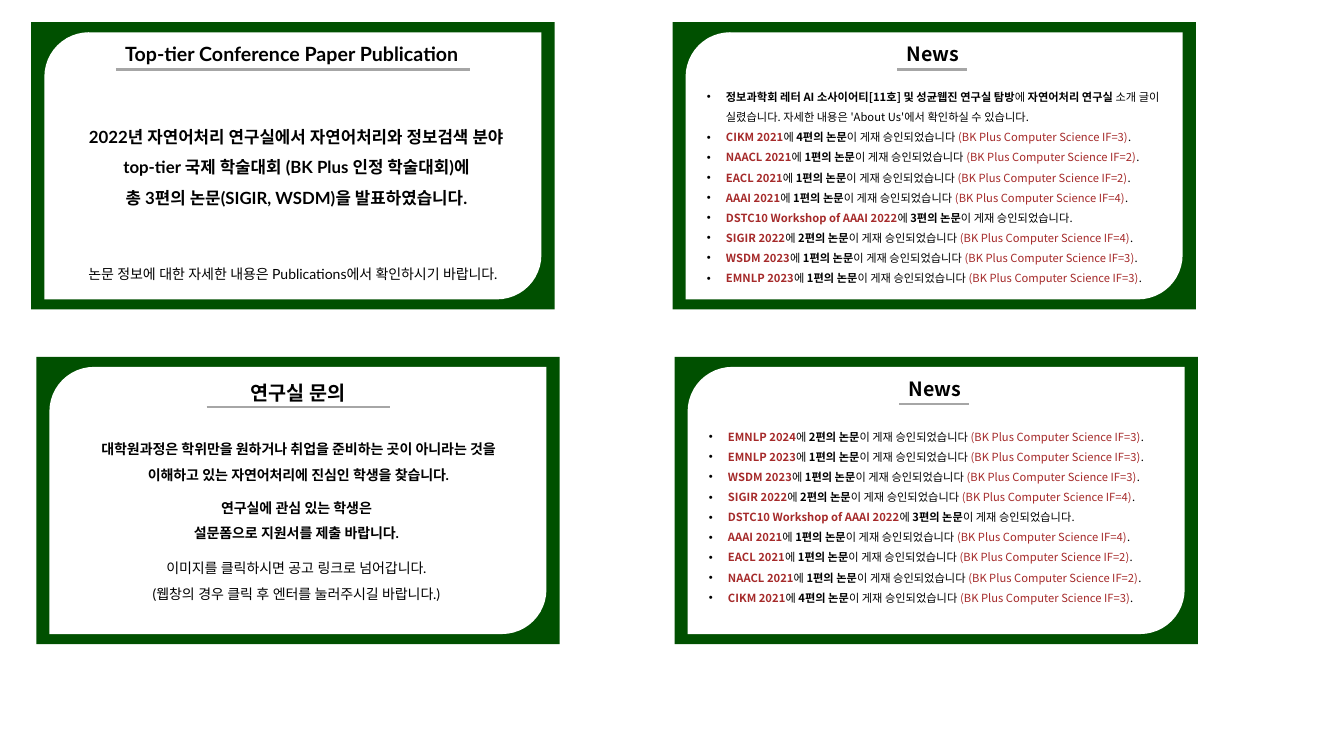
from lxml import etree
from pptx import Presentation
from pptx import util as u
from pptx.dml.color import RGBColor
from pptx.enum import shapes, text
from pptx.oxml.ns import qn

PX = 9144
COLORS = {"green": "005000", "white": "FFFFFF", "black": "000000",
          "gray": "A6A6A6", "red": "A52A2A"}
LATO = "Lato"
NOTO = "Noto Sans CJK KR"
BOLD = {"bold": True}
PLAIN = {"bold": False}
VENUE = {"bold": True, "color": "red"}
IMPACT = {"bold": False, "color": "red"}

PUBLICATIONS = [
    ("CIKM 2021", 4, 3),
    ("NAACL 2021", 1, 2),
    ("EACL 2021", 1, 2),
    ("AAAI 2021", 1, 4),
    ("DSTC10 Workshop of AAAI 2022", 3, None),
    ("SIGIR 2022", 2, 4),
    ("WSDM 2023", 1, 3),
    ("EMNLP 2023", 1, 3),
]
LATEST = ("EMNLP 2024", 2, 3)
ANNOUNCEMENT = [
    ("정보과학회 레터 AI 소사이어티[11호] 및 성균웹진 연구실 탐방", BOLD),
    ("에 ", PLAIN),
    ("자연어처리 연구실 ", BOLD),
    ("소개 글이 실렸습니다. 자세한 내용은 'About Us'에서 확인하실 수 있습니다.", PLAIN),
]


def acceptance(venue, count, impact):
    runs = [(venue, VENUE), ("에 ", PLAIN), (f"{count}편의 논문", BOLD)]
    if impact is None:
        return runs + [("이 게재 승인되었습니다.", PLAIN)]
    return runs + [("이 게재 승인되었습니다 ", PLAIN),
                   (f"(BK Plus Computer Science IF={impact})", IMPACT),
                   (".", PLAIN)]


class Board:
    def __init__(self, presentation):
        self.slide = presentation.slides.add_slide(presentation.slide_layouts[4])

    def color(self, name):
        return RGBColor.from_string(COLORS[name])

    def shape(self, kind, box, fill):
        shape = self.slide.shapes.add_shape(kind, *(value * PX for value in box))
        shape.shadow.inherit = False
        shape.fill.solid()
        shape.fill.fore_color.rgb = self.color(fill)
        shape.line.fill.background()

    def panel(self, left, top):
        self.shape(shapes.MSO_SHAPE.RECTANGLE, (left, top, 519, 285), "green")
        self.shape(shapes.MSO_SHAPE.ROUND_2_DIAG_RECTANGLE,
                   (left + 13, top + 10, 493, 265), "white")

    def rule(self, left, top, width):
        line = self.slide.shapes.add_connector(
            shapes.MSO_CONNECTOR.STRAIGHT,
            *(value * PX for value in (left, top, left + width, top)))
        line.line.color.rgb = self.color("gray")
        line.line.width = u.Pt(1.5)
        etree.SubElement(line.element.spPr, qn("a:effectLst"))

    def bullet(self, paragraph):
        properties = paragraph._p.get_or_add_pPr()
        properties.set("marL", str(19 * PX))
        properties.set("indent", str(-19 * PX))
        tint = etree.SubElement(properties, qn("a:buClr"))
        etree.SubElement(tint, qn("a:srgbClr"), val=COLORS["black"])
        etree.SubElement(properties, qn("a:buFont"), typeface="Arial")
        etree.SubElement(properties, qn("a:buChar"), char="•")

    def run(self, paragraph, words, style):
        run = paragraph.add_run()
        run.text = words
        settings = dict(style)
        run.font.color.rgb = self.color(settings.pop("color", "black"))
        for name, value in settings.items():
            setattr(run.font, name, value)
        etree.SubElement(run._r.get_or_add_rPr(), qn("a:ea"), typeface=style["name"])

    def text(self, box, paragraphs, size, font=LATO, spacing=1.5,
             placeholder=None, bullets=False, gaps=()):
        edges = [value * PX for value in box]
        if placeholder is None:
            shape = self.slide.shapes.add_textbox(*edges)
        else:
            shape = self.slide.placeholders[placeholder]
            shape.left, shape.top, shape.width, shape.height = edges
            shape.element.getparent().append(shape.element)
        frame = shape.text_frame
        for name, value in {"word_wrap": True,
                            "auto_size": text.MSO_AUTO_SIZE.SHAPE_TO_FIT_TEXT,
                            "vertical_anchor": text.MSO_ANCHOR.TOP}.items():
            setattr(frame, name, value)
        for index, runs in enumerate(paragraphs):
            paragraph = frame.paragraphs[0] if index == 0 else frame.add_paragraph()
            paragraph.alignment = text.PP_ALIGN.LEFT if bullets else text.PP_ALIGN.CENTER
            paragraph.line_spacing = spacing
            paragraph.space_before = u.Pt(dict(gaps).get(index, 0))
            if bullets:
                self.bullet(paragraph)
            for words, style in runs:
                self.run(paragraph, words, {"name": font, "size": u.Pt(size), **style})

    def heading(self, box, words, font=LATO, placeholder=None):
        self.text(box, [[(words, BOLD)]], 14, font, 1.0, placeholder)

    def news(self, left, top, heading_top, list_top, items, first_placeholder):
        self.panel(left, top)
        self.heading((left + 54, heading_top, 409, 34), "News", NOTO, first_placeholder)
        self.rule(left + 223, top + 47, 69)
        self.text((left + 24, list_top, 471, 210), items, 8, NOTO,
                  placeholder=first_placeholder + 1, bullets=True)


def main():
    presentation = Presentation()
    presentation.slide_width = 1333 * PX
    presentation.slide_height = 750 * PX
    board = Board(presentation)

    board.panel(31, 22)
    board.heading((85, 37, 409, 34), "Top-tier Conference Paper Publication", placeholder=0)
    board.rule(115, 69, 351)
    board.text((70, 111, 448, 98), [
        [("2022년 자연어처리 연구실에서 자연어처리와 정보검색 분야 "
          "top-tier 국제 학술대회 (BK Plus 인정 학술대회)에", BOLD)],
        [("총 3편의 논문(SIGIR, WSDM)을 발표하였습니다.", BOLD)],
    ], 12)
    board.text((64, 250, 453, 34), [
        [("논문 정보에 대한 자세한 내용은 Publications에서 확인하시기 바랍니다.", PLAIN)],
    ], 10)

    accepted = [acceptance(*publication) for publication in PUBLICATIONS]
    board.news(667, 22, 37, 78, [ANNOUNCEMENT] + accepted, 1)

    board.panel(36, 354)
    board.heading((205, 373, 182, 34), "연구실 문의")
    board.rule(205, 404, 182)
    board.text((127, 482, 334, 119), [
        [("연구실에 관심 있는 학생은", BOLD)],
        [("설문폼으로 지원서를 제출 바랍니다.", BOLD)],
        [("이미지를 클릭하시면 공고 링크로 넘어갑니다.", PLAIN)],
        [("(웹창의 경우 클릭 후 엔터를 눌러주시길 바랍니다.)", PLAIN)],
    ], 10, gaps={2: 7.2})
    board.text((79, 424, 434, 58), [
        [("대학원과정은 학위만을 원하거나 취업을 준비하는 곳이 아니라는 것을 "
          "이해하고 있는 자연어처리에 진심인 학생을 찾습니다.", BOLD)],
    ], 10)

    board.news(669, 354, 369, 415, [acceptance(*LATEST)] + accepted[::-1], 3)
    presentation.save("out.pptx")


if __name__ == "__main__":
    main()
